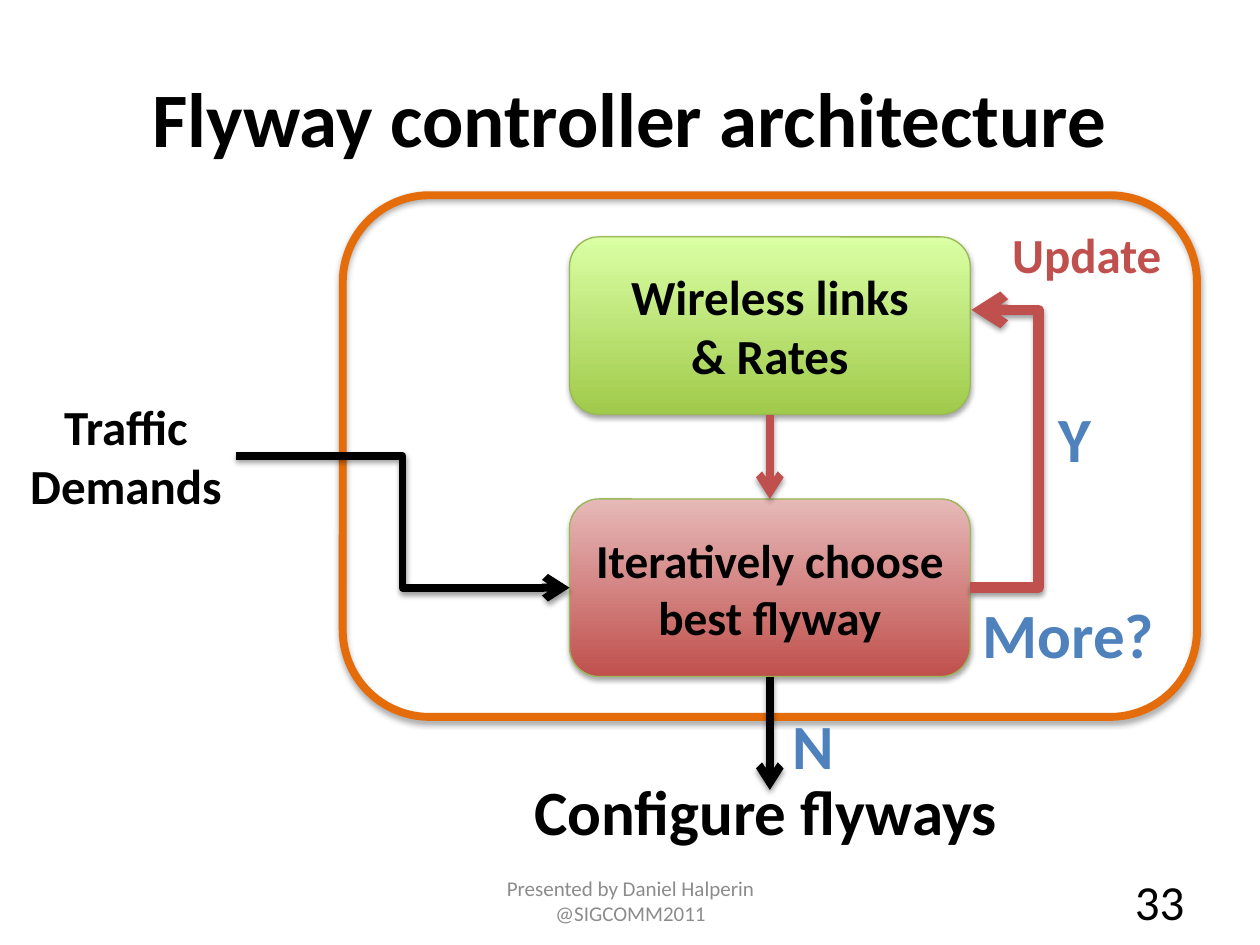
import pptx
import pptx.util
import pptx.dml.color
import pptx.enum.shapes
import pptx.enum.text
import pptx.oxml
import pptx.oxml.ns

THEME = {
    "font": "Calibri",
    "ink": "000000", "frame": "E46C0A", "edge": "98B955", "feedback": "C0504D",
    "decision": "4F81BD", "footer": "8C8C8C",
    "links": ("A0CA4A", "DAFFA5"), "choice": ("C0504D", "E6B9B8"),
    "title": 44, "large": 36, "label": 28, "choose": 27, "small": 12,
}
CELL = pptx.util.Inches(0.1)
ALIGN = pptx.enum.text.PP_ALIGN
ANCHOR = pptx.enum.text.MSO_ANCHOR
SHAPE = pptx.enum.shapes.MSO_SHAPE
LINK = pptx.enum.shapes.MSO_CONNECTOR


def write(box, words, size, color, bold=True, align=ALIGN.CENTER, anchor=ANCHOR.MIDDLE, wrap=True):
    frame = box.text_frame
    frame.word_wrap = wrap
    frame.vertical_anchor = anchor
    frame.text = words
    for para in frame.paragraphs:
        para.alignment = align
        para.font.name = THEME["font"]
        para.font.size = pptx.util.Pt(THEME[size])
        para.font.bold = bold
        para.font.color.rgb = pptx.dml.color.RGBColor.from_string(THEME[color])


def outline(item, color, width, opacity):
    item.line.color.rgb = pptx.dml.color.RGBColor.from_string(THEME[color])
    item.line.width = pptx.util.Pt(width)
    item._element.spPr.append(pptx.oxml.parse_xml(
        f'<a:effectLst {pptx.oxml.ns.nsdecls("a")}>'
        '<a:outerShdw blurRad="40000" dist="23000" dir="5400000" rotWithShape="0">'
        f'<a:srgbClr val="000000"><a:alpha val="{opacity * 1000}"/></a:srgbClr>'
        '</a:outerShdw></a:effectLst>'))


deck = pptx.Presentation()
deck.slide_width, deck.slide_height = 100 * CELL, 75 * CELL
page = deck.slides.add_slide(deck.slide_layouts[6])

for words, place, size, color, bold, align in [
    ("Flyway controller architecture", (5, 3, 90, 12.5), "title", "ink", True, ALIGN.CENTER),
    ("33", (71.7, 69.5, 23.3, 4), "label", "ink", False, ALIGN.RIGHT),
    ("Presented by Daniel Halperin @SIGCOMM2011", (34.2, 69.5, 31.7, 4),
     "small", "footer", False, ALIGN.CENTER),
]:
    box = page.shapes.add_textbox(*[int(cells * CELL) for cells in place])
    write(box, words, size, color, bold, align)

controller = page.shapes.add_shape(
    SHAPE.ROUNDED_RECTANGLE, *[int(cells * CELL) for cells in (27.2, 15.5, 67.8, 41.4)])
controller.fill.background()
outline(controller, "frame", 4.5, 35)

stage_left, stage_width, stage_height = 45.2, 31.8, 14.1
stage_right = stage_left + stage_width
stage_middle = stage_left + stage_width / 2
links_top, choice_top = 18.8, 39.6
links_bottom, choice_bottom = links_top + stage_height, choice_top + stage_height
choice_middle = choice_top + stage_height / 2

for words, top, size, colors in [
    ("Wireless links\v& Rates", links_top, "label", "links"),
    ("Iteratively choose best flyway", choice_top, "choose", "choice"),
]:
    stage = page.shapes.add_shape(
        SHAPE.ROUNDED_RECTANGLE,
        *[int(cells * CELL) for cells in (stage_left, top, stage_width, stage_height)])
    stage.fill.gradient()
    stage.fill.gradient_angle = 90
    for position, (stop, color) in enumerate(zip(stage.fill.gradient_stops, THEME[colors])):
        stop.position = position
        stop.color.rgb = pptx.dml.color.RGBColor.from_string(color)
    outline(stage, "edge", 0.75, 35)
    write(stage, words, size, "ink")

for kind, ends, color, width, bend in [
    (LINK.ELBOW, (18.7, 36.2, stage_left, choice_middle), "ink", 4.5, 0.5),
    (LINK.STRAIGHT, (stage_middle, links_bottom, stage_middle, choice_top), "feedback", 4.5, None),
    (LINK.ELBOW, (stage_right, choice_middle, stage_right + 0.1, 24.6), "feedback", 6, 55),
    (LINK.STRAIGHT, (stage_middle, choice_bottom, stage_middle, 62.7), "ink", 4.5, None),
]:
    arrow = page.shapes.add_connector(kind, *[int(cells * CELL) for cells in ends])
    outline(arrow, color, width, 38)
    arrow.line._get_or_add_ln().append(
        pptx.oxml.parse_xml(f'<a:tailEnd {pptx.oxml.ns.nsdecls("a")} type="arrow"/>'))
    if bend:
        guides = arrow._element.spPr.prstGeom.get_or_add_avLst()
        guides.append(pptx.oxml.parse_xml(
            f'<a:gd {pptx.oxml.ns.nsdecls("a")} name="adj1" fmla="val {int(bend * 100000)}"/>'))

for words, place, size, color, align in [
    ("Traffic\nDemands", (1.3, 31, 17.4, 10.4), "label", "ink", ALIGN.CENTER),
    ("Update", (79.2, 17.3, 14.1, 5.7), "label", "feedback", ALIGN.CENTER),
    ("Configure flyways", (41.4, 60.8, 39.3, 7.1), "large", "ink", ALIGN.LEFT),
    ("More?", (77, 46.8, 15.8, 7.1), "large", "decision", ALIGN.LEFT),
    ("Y", (83, 31.2, 4.7, 7.1), "large", "decision", ALIGN.LEFT),
    ("N", (61.9, 55.6, 5.3, 7.1), "large", "decision", ALIGN.LEFT),
]:
    label = page.shapes.add_textbox(*[int(cells * CELL) for cells in place])
    write(label, words, size, color, align=align, anchor=ANCHOR.TOP, wrap=False)

deck.save("out.pptx")
